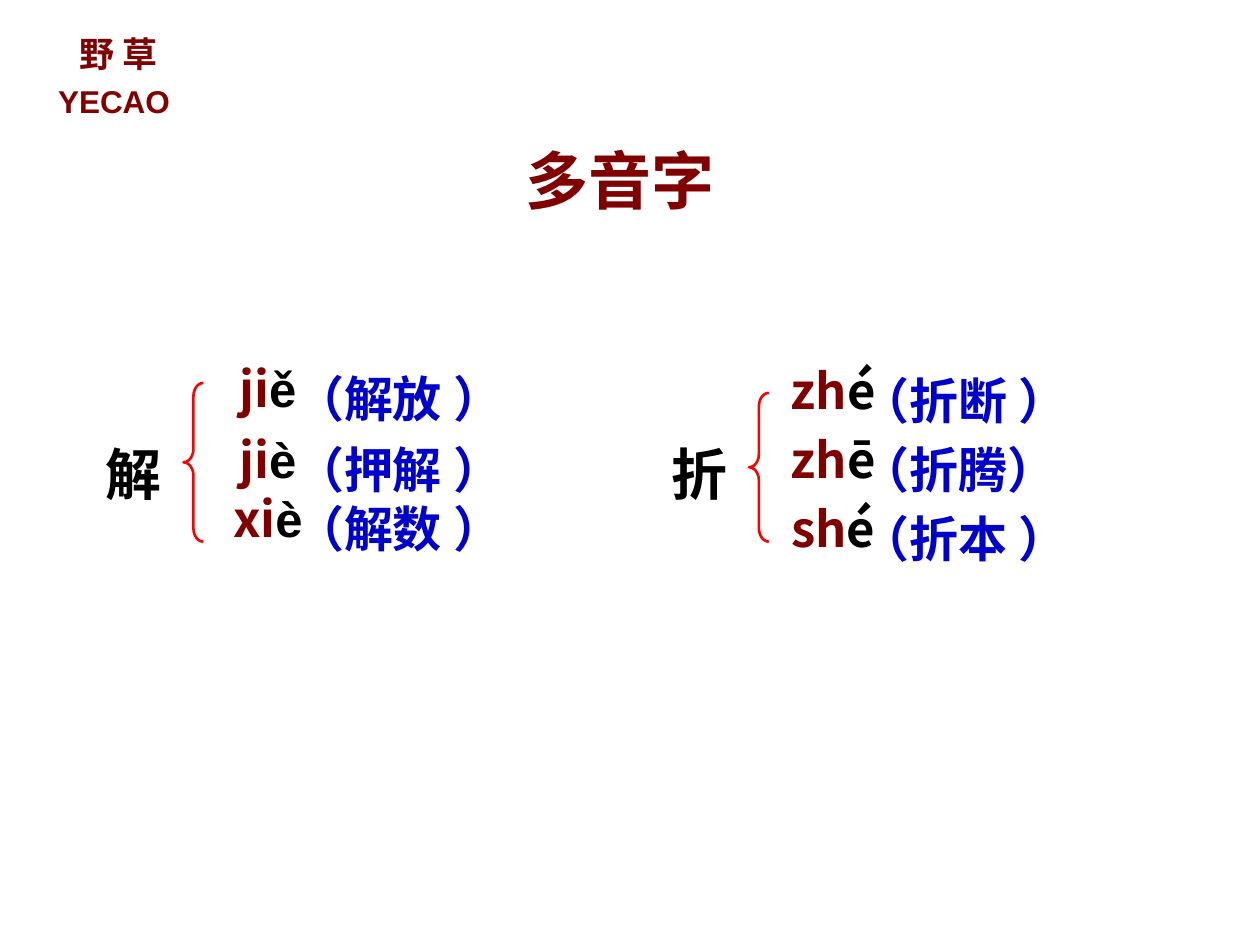
"""Build a slide on Chinese characters that have several readings."""
from dataclasses import dataclass

from lxml import etree
from pptx import Presentation
from pptx.dml.color import RGBColor
from pptx.enum.shapes import MSO_SHAPE
from pptx.enum.text import MSO_ANCHOR, MSO_AUTO_SIZE, PP_ALIGN
from pptx.oxml.ns import qn
from pptx.util import Cm, Pt

LEFT_BRACE = MSO_SHAPE.LEFT_BRACE
MIDDLE = MSO_ANCHOR.MIDDLE
GROW = MSO_AUTO_SIZE.SHAPE_TO_FIT_TEXT
CENTER, LEFT = PP_ALIGN.CENTER, PP_ALIGN.LEFT

ARIAL, NOTO = "Arial", "Noto Sans CJK SC"
COLORS = {"maroon": "800000", "black": "000000", "blue": "0000CC", "red": "FF0000"}
GROUP_STEP = 11.4
WORD_DROP = 0.2


@dataclass
class Run:
    """A piece of text in one font and colour."""
    text: str
    size: int
    color: str
    font: str = ARIAL


@dataclass
class Reading:
    """One pronunciation with its example word."""
    y: float
    initial: str
    final: str
    word: str


@dataclass
class Group:
    """A character and its readings, joined by a brace."""
    char: str
    final_font: str
    brace_y: float
    brace_h: float
    readings: list[Reading]


GROUPS = [
    Group("解", ARIAL, 7.72, 3.2, [
        Reading(7.11, "ji", "ě", "（解放 ）"),
        Reading(8.53, "ji", "è", "（押解 ）"),
        Reading(9.73, "xi", "è", "（解数 ）"),
    ]),
    Group("折", NOTO, 7.92, 3, [
        Reading(7.14, "zh", "é", "（折断 ）"),
        Reading(8.53, "zh", "ē", "（折腾）"),
        Reading(9.93, "sh", "é", "（折本 ）"),
    ]),
]


def write(tf, runs: list[Run], align=CENTER) -> None:
    """Fill the first paragraph with bold runs."""
    p = tf.paragraphs[0]
    p.alignment = align
    for run in runs:
        r = p.add_run()
        r.text = run.text
        for key, value in {"name": run.font, "size": Pt(run.size), "bold": True}.items():
            setattr(r.font, key, value)
        r.font.color.rgb = RGBColor.from_string(COLORS[run.color])
        etree.SubElement(r._r.get_or_add_rPr(), qn("a:ea"), typeface=NOTO)


def add_text(s, x: float, y: float, w: float, h: float, runs: list[Run], align=CENTER) -> None:
    """Add a wrapped text box."""
    tf = s.shapes.add_textbox(Cm(x), Cm(y), Cm(w), Cm(h)).text_frame
    for key, value in {"word_wrap": True, "auto_size": GROW}.items():
        setattr(tf, key, value)
    write(tf, runs, align)


def add_brace(s, x: float, y: float, h: float) -> None:
    """Add a thin red left brace."""
    sp = s.shapes.add_shape(LEFT_BRACE, Cm(x), Cm(y), Cm(0.4), Cm(h))
    sp.shadow.inherit = False
    sp.adjustments[0] = 0.67
    sp.fill.background()
    sp.line.color.rgb = RGBColor.from_string(COLORS["red"])
    sp.line.width = Pt(1.5)


def add_group(s, x: float, group: Group) -> None:
    """Add a character, its brace and its readings."""
    add_text(s, x, 8.74, 3.2, 1.63, [Run(group.char, 32, "black")])
    add_brace(s, x + 2.6, group.brace_y, group.brace_h)
    for item in group.readings:
        syllable = [Run(item.initial, 28, "maroon", NOTO),
                    Run(item.final, 28, "black", group.final_font)]
        add_text(s, x + 3, item.y, 2.6, 1.45, syllable)
        add_text(s, x + 4.6, item.y + WORD_DROP, 5, 1.45,
                 [Run(item.word, 28, "blue")], LEFT)


def add_title(s, text: str) -> None:
    """Place and fill the title placeholder."""
    sp = s.shapes.title
    place = {"left": 6.7, "top": 2.72, "width": 11.6, "height": 1.8}
    for key, value in place.items():
        setattr(sp, key, Cm(value))
    tf = sp.text_frame
    tf.vertical_anchor = MIDDLE
    write(tf, [Run(text, 36, "maroon")])


def main() -> None:
    """Build and save the presentation."""
    prs = Presentation()
    prs.slide_width, prs.slide_height = Cm(25.4), Cm(19.05)
    s = prs.slides.add_slide(prs.slide_layouts[5])
    add_title(s, "多音字")
    add_text(s, 0.9, 0.53, 3, 1.1, [Run("野 草", 20, "maroon", NOTO)])
    add_text(s, 0.7, 1.53, 3.2, 1.02, [Run("YECAO", 18, "maroon")])
    for i, group in enumerate(GROUPS):
        add_group(s, 1.1 + i * GROUP_STEP, group)
    prs.save("out.pptx")


if __name__ == "__main__":
    main()
